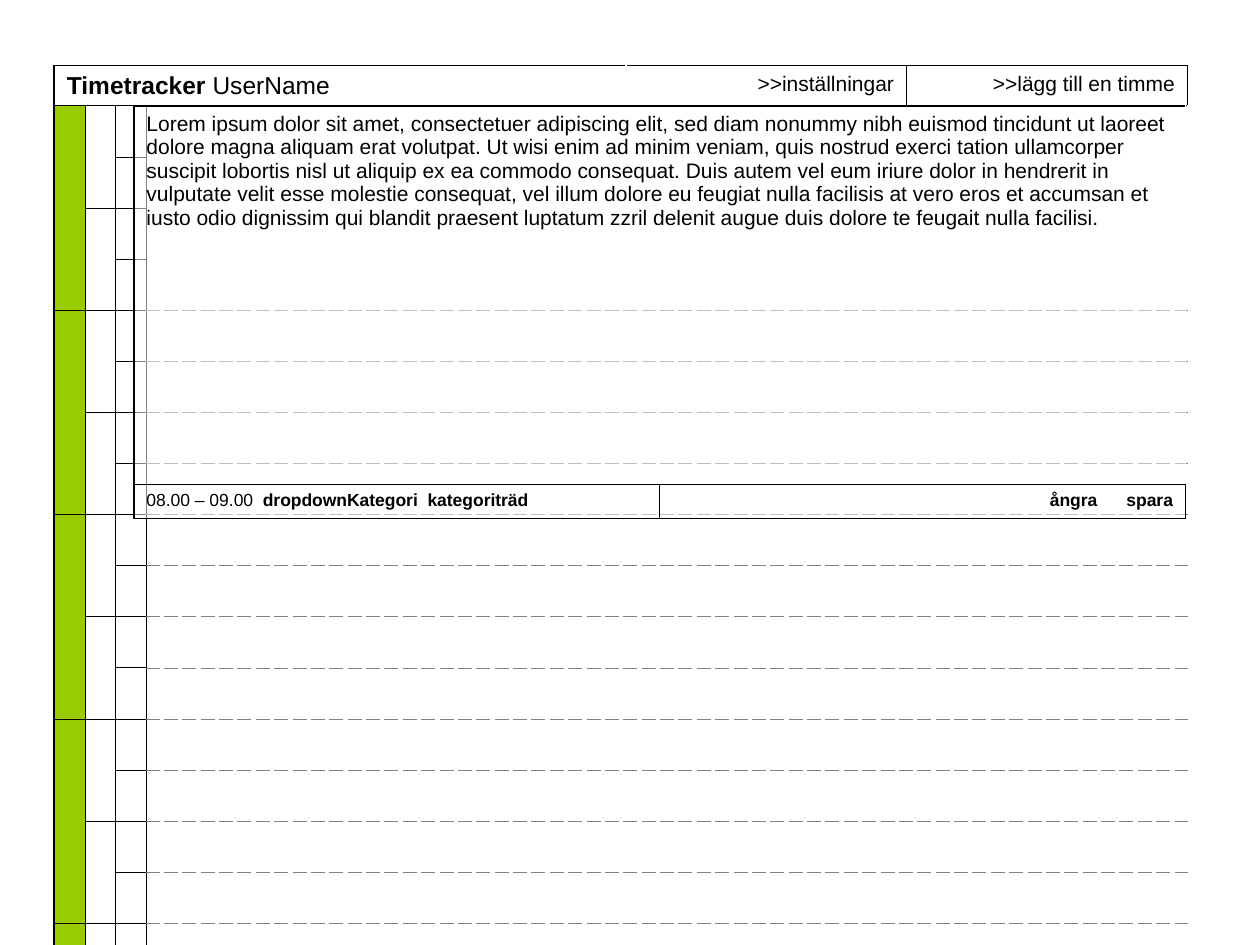
from lxml import etree
from pptx import Presentation
from pptx.dml.color import RGBColor
from pptx.enum.text import MSO_ANCHOR, PP_ALIGN
from pptx.oxml.ns import qn
from pptx.util import Pt

LEFT, RIGHT = PP_ALIGN.LEFT, PP_ALIGN.RIGHT
BOTTOM = MSO_ANCHOR.BOTTOM

BLACK = RGBColor(0x00, 0x00, 0x00)
GREY = RGBColor(0x80, 0x80, 0x80)
WHITE = RGBColor(0xFF, 0xFF, 0xFF)
GREEN = RGBColor(0x99, 0xCC, 0x00)

FONT = "Arial"
THICK = (BLACK, 1.08, "solid")
THIN = (BLACK, 0.45, "solid")
DASHED = (GREY, 0.45, "dash")

HOURS = 7
QUARTERS = 4
LAST_ROW = HOURS * QUARTERS + 1
SOLID_ENDS = (20, 24, 28)
ADD_HOUR = ">>lägg till en timme"
LOREM = (
    "Lorem ipsum dolor sit amet, consectetuer adipiscing elit, sed diam nonummy "
    "nibh euismod tincidunt ut laoreet dolore magna aliquam erat volutpat. Ut wisi "
    "enim ad minim veniam, quis nostrud exerci tation ullamcorper suscipit lobortis "
    "nisl ut aliquip ex ea commodo consequat. Duis autem vel eum iriure dolor in "
    "hendrerit in vulputate velit esse molestie consequat, vel illum dolore eu "
    "feugiat nulla facilisis at vero eros et accumsan et iusto odio dignissim qui "
    "blandit praesent luptatum zzril delenit augue duis dolore te feugait nulla "
    "facilisi."
)


def add_grid(slide, left, top, widths, heights):
    """Add an unstyled table with the given column widths and row heights."""
    table = slide.shapes.add_table(
        len(heights), len(widths), Pt(left), Pt(top),
        Pt(sum(widths)), Pt(sum(heights))).table
    table.first_row = table.horz_banding = False
    for col, width in zip(table.columns, widths):
        col.width = Pt(width)
    for row, height in zip(table.rows, heights):
        row.height = Pt(height)
    return table


def set_border(cell, side, border):
    color, width, dash = border
    ln = etree.SubElement(cell._tc.get_or_add_tcPr(), qn(f"a:ln{side}"),
                          w=str(int(Pt(width))))
    fill = etree.SubElement(ln, qn("a:solidFill"))
    etree.SubElement(fill, qn("a:srgbClr"), val=str(color))
    etree.SubElement(ln, qn("a:prstDash"), val=dash)


def format_block(table, row, col, rows=1, cols=1, fill=None, alpha=None, **borders):
    """Merge a block of cells, draw its outer borders (thin by default), fill it."""
    last_row, last_col = row + rows - 1, col + cols - 1
    for i in range(row, last_row + 1):
        for j in range(col, last_col + 1):
            cell = table.cell(i, j)
            outer = {"L": j == col, "R": j == last_col,
                     "T": i == row, "B": i == last_row}
            for side, is_outer in outer.items():
                if is_outer:
                    set_border(cell, side, borders.get(side, THIN))
            if fill is None:
                cell.fill.background()
                continue
            cell.fill.solid()
            cell.fill.fore_color.rgb = fill
            if alpha:
                clr = cell._tc.tcPr.find(f".//{qn('a:solidFill')}/../{qn('a:solidFill')}"
                                         f"[last()]/{qn('a:srgbClr')}")
                clr = cell._tc.tcPr.findall(qn("a:solidFill"))[-1][0]
                etree.SubElement(clr, qn("a:alpha"), val=str(alpha * 1000))
    cell = table.cell(row, col)
    if rows * cols > 1:
        cell.merge(table.cell(last_row, last_col))
    return cell


def write(cell, runs, size, align=LEFT):
    """Write (text, bold, letter spacing) runs into a cell."""
    p = cell.text_frame.paragraphs[0]
    p.alignment = align
    p.space_before = Pt(size / 4)
    for text, bold, spacing in runs:
        r = p.add_run()
        r.text = text
        for name, value in {"name": FONT, "size": Pt(size), "bold": bold}.items():
            setattr(r.font, name, value)
        r.font.color.rgb = BLACK
        if spacing:
            r._r.get_or_add_rPr().set("spc", str(round(spacing * 100)))


def add_schedule(slide, left, top):
    widths = [17.8, 17.3, 17.3, 274.3, 160.5, 160.5]
    heights = [19.4] + [14.7] * (HOURS * QUARTERS) + [17.3]
    table = add_grid(slide, left, top, widths, heights)

    title = format_block(table, 0, 0, cols=4, L=THICK, T=THICK)
    write(title, [("Timetracker", True, 0), (" UserName", False, 0)], 14)
    settings = format_block(table, 0, 4, T=THICK)
    write(settings, [(">>inställningar", False, 0)], 12, RIGHT)
    add_hour = format_block(table, 0, 5, T=THICK, R=THICK)
    write(add_hour, [(ADD_HOUR, False, 0)], 12, RIGHT)

    for row in range(1, LAST_ROW):
        if row % QUARTERS == 1:
            format_block(table, row, 0, rows=QUARTERS, fill=GREEN, L=THICK)
        if row % 2:
            format_block(table, row, 1, rows=2)
        format_block(table, row, 2)
        if row > QUARTERS:
            format_block(table, row, 3, cols=3, R=THICK,
                         T=THIN if row - 1 in SOLID_ENDS else DASHED,
                         B=THIN if row in SOLID_ENDS else DASHED)
    format_block(table, 1, 3, rows=QUARTERS, cols=3, R=THICK, B=DASHED)

    footer = format_block(table, LAST_ROW, 0, cols=6, fill=WHITE,
                          L=THICK, R=THICK, B=THICK)
    footer.vertical_anchor = BOTTOM
    write(footer, [(ADD_HOUR, False, 0)], 12, RIGHT)


def add_entry_editor(slide, left, top):
    table = add_grid(slide, left, top, [300.5, 300.5], [216.6, 19.3])
    veil = {"fill": WHITE, "alpha": 50}
    note = format_block(table, 0, 0, cols=2, L=THICK, T=THICK, R=THICK, **veil)
    write(note, [(LOREM, False, 0)], 12)
    category = format_block(table, 1, 0, L=THICK, B=THICK, **veil)
    write(category, [("08.00 – 09.00", False, 0), (" ", False, 2.8),
                     ("dropdownKategori", True, 0), (" ", True, 2.8),
                     ("kategoriträd", True, 0)], 10)
    actions = format_block(table, 1, 1, R=THICK, B=THICK, **veil)
    write(actions, [("ångra", True, 0), (" ", True, 13.9), ("spara", True, 0)],
          10, RIGHT)


def main():
    prs = Presentation()
    prs.slide_width, prs.slide_height = Pt(720), Pt(540)
    slide = prs.slides.add_slide(prs.slide_layouts[6])
    add_schedule(slide, 31, 37.5)
    add_entry_editor(slide, 76.5, 60.4)
    prs.save("out.pptx")


if __name__ == "__main__":
    main()
